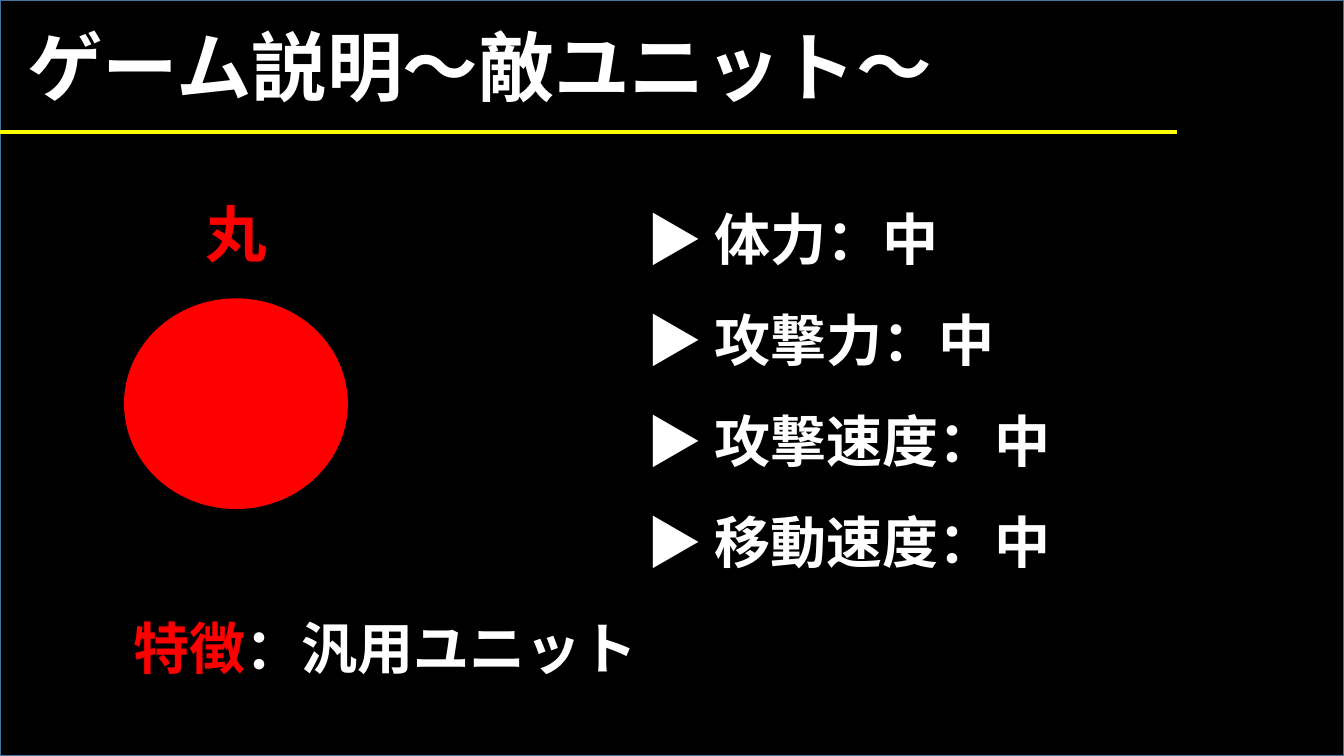
import pptx
import pptx.dml.color
import pptx.enum.shapes
import pptx.enum.text
import pptx.oxml.ns
import pptx.util
from lxml import etree

Inches = pptx.util.Inches
Pt = pptx.util.Pt
RGBColor = pptx.dml.color.RGBColor
SHAPE = pptx.enum.shapes.MSO_SHAPE
ALIGN = pptx.enum.text.PP_ALIGN
qn = pptx.oxml.ns.qn

BLACK = RGBColor(0x00, 0x00, 0x00)
WHITE = RGBColor(0xFF, 0xFF, 0xFF)
RED = RGBColor(0xFF, 0x00, 0x00)
YELLOW = RGBColor(0xFF, 0xFF, 0x00)
EDGE = RGBColor(0x43, 0x73, 0x9E)
FONT = "Noto Sans CJK JP"
WIDTH, HEIGHT = 13.33, 7.5


def add_text(s, box, text, size=40, color=WHITE, align=ALIGN.LEFT, spacing=None):
    """Add bold text; each line is a string or a list of (text, colour) runs."""
    sp = s.shapes.add_textbox(*map(Inches, box))
    tf = sp.text_frame
    tf.word_wrap = False
    tf.auto_size = pptx.enum.text.MSO_AUTO_SIZE.SHAPE_TO_FIT_TEXT
    for i, line in enumerate([text] if isinstance(text, str) else text):
        p = tf.paragraphs[0] if i == 0 else tf.add_paragraph()
        p.alignment = align
        if spacing:
            p.line_spacing = spacing
        for words, run_color in [(line, color)] if isinstance(line, str) else line:
            r = p.add_run()
            r.text = words
            r.font.size = Pt(size)
            r.font.bold = True
            r.font.name = FONT
            r.font.color.rgb = run_color
            # East Asian typeface
            ea = etree.SubElement(r.font._element, qn("a:ea"))
            ea.set("typeface", FONT)
    return sp


def add_filled(s, kind, box, fill, line=None):
    sp = s.shapes.add_shape(kind, *map(Inches, box))
    sp.shadow.inherit = False
    sp.fill.solid()
    sp.fill.fore_color.rgb = fill
    if line is None:
        sp.line.fill.background()
    else:
        sp.line.color.rgb = line
        sp.line.width = Pt(1)
    return sp


def add_header(s, box, title):
    x, y, w, h = box
    add_text(s, (x + 0.17, y + 0.15, 9.33, 1.01), title, size=54)
    # Yellow rule along the bottom of the header
    rule = s.shapes.add_connector(
        pptx.enum.shapes.MSO_CONNECTOR.STRAIGHT,
        Inches(x), Inches(y + h), Inches(x + w), Inches(y + h))
    rule.line.color.rgb = YELLOW
    rule.line.width = Pt(3)
    etree.SubElement(rule._element.spPr, qn("a:effectLst"))


def add_unit(s, box, name):
    x, y, w, h = box
    name_w, disc_h = 0.82, 2.09
    add_text(s, (x + (w - name_w) / 2, y, name_w, 0.84), name,
             size=44, color=RED, align=ALIGN.CENTER)
    add_filled(s, SHAPE.FLOWCHART_CONNECTOR, (x, y + h - disc_h, w, disc_h), RED)


def add_stats(s, box, stats):
    add_text(s, box, [f"▶ {label}：{level}" for label, level in stats], spacing=1.5)


def add_feature(s, box, feature):
    add_text(s, box, [[("特徴", RED), (f"：{feature}", WHITE)]])


def main():
    prs = pptx.Presentation()
    prs.slide_width, prs.slide_height = Inches(WIDTH), Inches(HEIGHT)
    s = prs.slides.add_slide(prs.slide_layouts[6])

    # Backdrop
    add_filled(s, SHAPE.RECTANGLE, (0, 0, WIDTH, HEIGHT), BLACK, line=EDGE)

    # Content
    add_header(s, (0, 0, 11.67, 1.31), "ゲーム説明～敵ユニット～")
    add_unit(s, (1.23, 1.89, 2.22, 3.16), "丸")
    add_stats(s, (6.31, 1.65, 4.29, 4.14),
              [("体力", "中"), ("攻撃力", "中"), ("攻撃速度", "中"), ("移動速度", "中")])
    add_feature(s, (1.23, 6.04, 5.25, 0.77), "汎用ユニット")

    prs.save("out.pptx")


if __name__ == "__main__":
    main()
